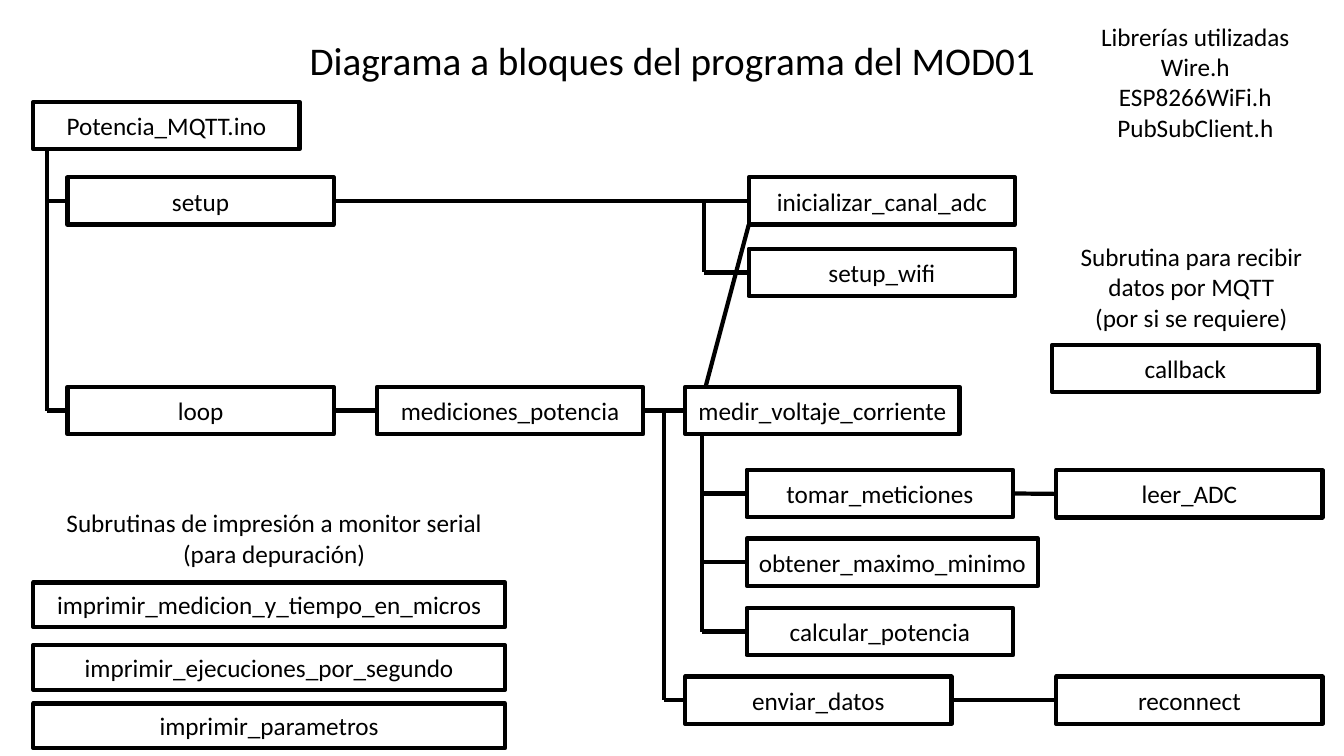
from lxml.etree import SubElement
from pptx import Presentation
from pptx.dml.color import RGBColor
from pptx.enum.shapes import MSO_CONNECTOR as Connector, MSO_SHAPE as Shape
from pptx.enum.text import MSO_ANCHOR as Anchor, PP_ALIGN as Align
from pptx.oxml.ns import qn
from pptx.util import Cm, Pt

COLORS = {"ink": "000000", "paper": "FFFFFF"}
TOP, LEFT, BOTTOM, RIGHT = range(4)


def write(frame, text, size=18, font="Calibri", color="ink", anchor=Anchor.MIDDLE):
    """Fill a text frame, one centred paragraph per line of text."""
    frame.word_wrap = True
    frame.vertical_anchor = anchor
    for number, line in enumerate(text.split("\n")):
        paragraph = frame.add_paragraph() if number else frame.paragraphs[0]
        paragraph.alignment = Align.CENTER
        run = paragraph.add_run()
        run.text = line
        run.font.size = Pt(size)
        run.font.name = font
        run.font.color.rgb = RGBColor.from_string(COLORS[color])


class BlockDiagram:
    """Style and current slide; positions are given in centimetres."""

    box_width, box_height, stroke = 6.71, 1.19, 3

    def __init__(self, slide):
        self.slide = slide
        slide.background.fill.solid()
        slide.background.fill.fore_color.rgb = RGBColor.from_string(COLORS["paper"])

    def outline(self, line):
        line.width = Pt(self.stroke)
        line.color.rgb = RGBColor.from_string(COLORS["ink"])

    def label(self, text, x, y, width, height, **style):
        area = self.slide.shapes.add_textbox(Cm(x), Cm(y), Cm(width), Cm(height))
        write(area.text_frame, text, **style)

    def box(self, text, x, y, width=box_width, height=box_height):
        block = self.slide.shapes.add_shape(
            Shape.RECTANGLE, Cm(x), Cm(y), Cm(width), Cm(height))
        block.shadow.inherit = False
        block.fill.background()
        self.outline(block.line)
        write(block.text_frame, text)
        return block

    def line(self, start, end):
        connector = self.slide.shapes.add_connector(Connector.STRAIGHT, *start, *end)
        self.outline(connector.line)
        SubElement(connector._element.spPr, qn("a:effectLst"))
        return connector

    def link(self, caller, called):
        """Join the right side of one block to the left side of the next."""
        connector = self.line((caller.left + caller.width, middle(caller)),
                              (called.left, middle(called)))
        connector.begin_connect(caller, RIGHT)
        connector.end_connect(called, LEFT)

    def tree(self, x, top, blocks):
        """Draw a vertical trunk with a branch to each block."""
        trunk = Cm(x)
        self.line((trunk, top), (trunk, middle(blocks[-1])))
        for block in blocks:
            branch = self.line((trunk, middle(block)), (block.left, middle(block)))
            branch.end_connect(block, LEFT)


def middle(block):
    return block.top + block.height // 2


def bottom(block):
    return block.top + block.height


def main():
    deck = Presentation()
    deck.slide_width, deck.slide_height = Cm(33.87), Cm(19.05)
    diagram = BlockDiagram(deck.slides.add_slide(deck.slide_layouts[6]))
    box, label = diagram.box, diagram.label

    # Title and notes
    label("Diagrama a bloques del programa del MOD01", 3.73, 0.79, 26.42, 1.45,
          size=28, anchor=Anchor.TOP)
    label("Librerías utilizadas\nWire.h\nESP8266WiFi.h\nPubSubClient.h",
          26.62, 0.36, 7.01, 3.4)
    label("Subrutina para recibir datos por MQTT\n(por si se requiere)",
          26.52, 5.92, 7.01, 2.62)
    label("Subrutinas de impresión a monitor serial\n(para depuración)",
          1.27, 12.78, 11.28, 1.55)

    # Main program
    program = box("Potencia_MQTT.ino", 0.84, 2.57)
    setup = box("setup", 1.7, 4.47)
    loop = box("loop", 1.7, 9.75)

    # Called from setup
    start_adc = box("inicializar_canal_adc", 18.87, 4.47)
    setup_wifi = box("setup_wifi", 18.87, 6.27)

    # Called from loop
    measurements = box("mediciones_potencia", 9.5, 9.75)
    measure = box("medir_voltaje_corriente", 17.27, 9.75, width=6.91)
    send_data = box("enviar_datos", 17.27, 17.05)
    reconnect = box("reconnect", 26.62, 17.05)

    # Measuring steps
    take = box("tomar_meticiones", 18.82, 11.84)
    extremes = box("obtener_maximo_minimo", 18.82, 13.57, width=7.34)
    power = box("calcular_potencia", 18.82, 15.32)
    read_adc = box("leer_ADC", 26.62, 11.85)

    # Standalone subroutines
    box("callback", 26.52, 8.69)
    for text, y in (("imprimir_medicion_y_tiempo_en_micros", 14.68),
                    ("imprimir_ejecuciones_por_segundo", 16.26),
                    ("imprimir_parametros", 17.73)):
        box(text, 0.84, y, width=11.89, height=1.12)

    # Calls between neighbouring blocks
    for caller, called in ((setup, start_adc), (loop, measurements),
                           (measurements, measure), (take, read_adc),
                           (send_data, reconnect)):
        diagram.link(caller, called)

    # Branching calls
    diagram.tree(1.19, bottom(program), [setup, loop])
    diagram.tree(17.75, middle(setup), [setup_wifi])
    diagram.tree(16.74, middle(measurements), [send_data])
    diagram.tree(17.7, bottom(measure), [take, extremes, power])
    diagram.line((Cm(17.78), measure.top), (start_adc.left, bottom(start_adc)))

    deck.save("out.pptx")


if __name__ == "__main__":
    main()
